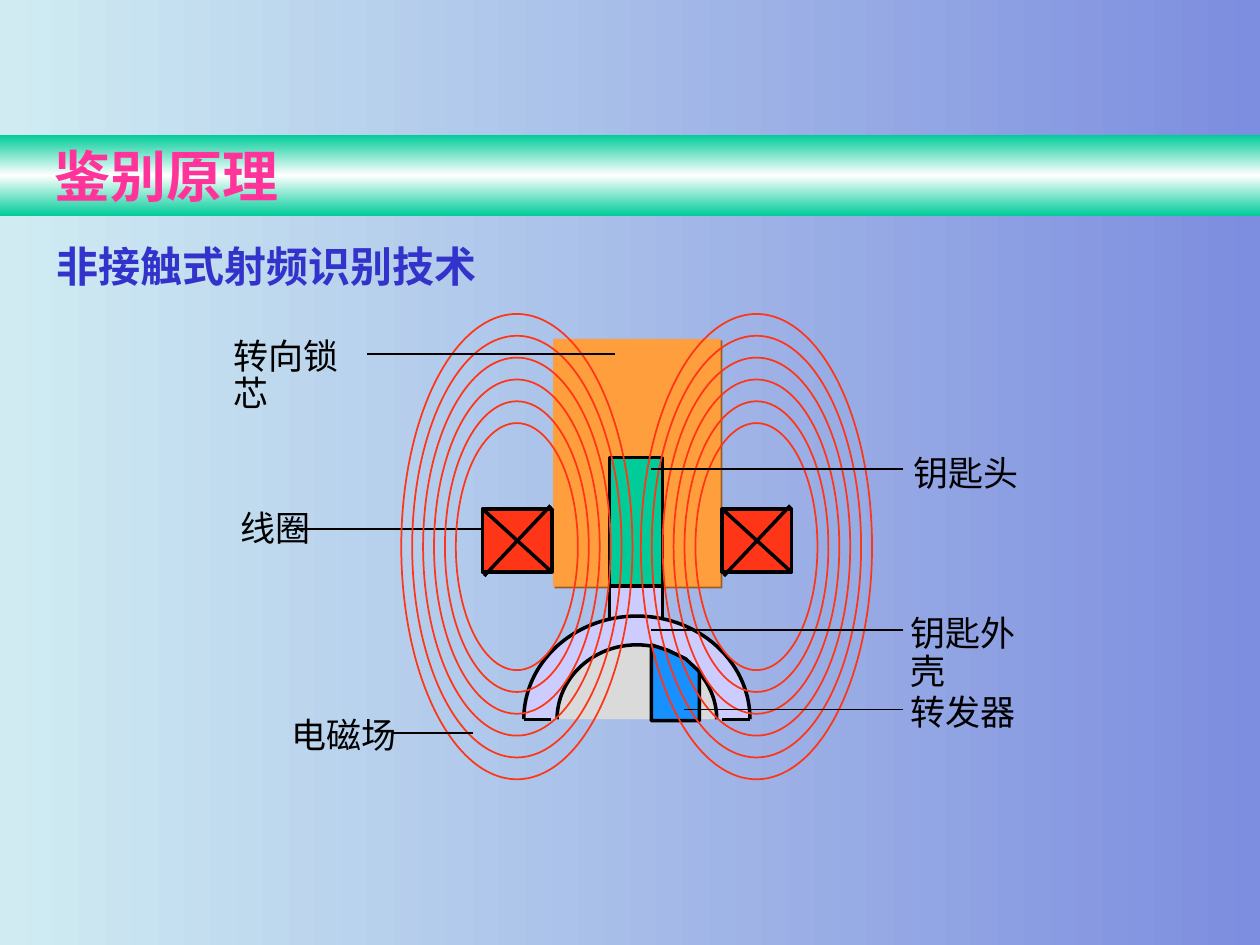
"""Build the slide on key recognition by contactless radio frequency."""
import copy

import lxml.etree
import pptx
import pptx.dml.color
import pptx.enum.shapes
import pptx.enum.text
import pptx.oxml.ns
import pptx.util

Cm = pptx.util.Cm
Pt = pptx.util.Pt
RGB = pptx.dml.color.RGBColor
KIND = pptx.enum.shapes.MSO_SHAPE
TEXT = pptx.enum.text
qn = pptx.oxml.ns.qn

BLACK = RGB(0x00, 0x00, 0x00)
WHITE = RGB(0xFF, 0xFF, 0xFF)
RED = RGB(0xFF, 0x35, 0x17)
ORANGE = RGB(0xFF, 0x9E, 0x3D)
GREEN = RGB(0x00, 0xCC, 0x99)
LILAC = RGB(0xCC, 0xCC, 0xFF)
GREY = RGB(0xDA, 0xDA, 0xDA)
AZURE = RGB(0x17, 0x91, 0xFF)
PINK = RGB(0xFF, 0x33, 0x99)
BLUE = RGB(0x33, 0x33, 0xCC)
SKY = RGB(0x7D, 0x8D, 0xDF)
ICE = RGB(0xD0, 0xEC, 0xF2)
BROWN = "985E24"

LABEL = {"name": "Arial", "size": Pt(20)}
TITLE = {"name": "Times New Roman", "size": Pt(32), "bold": True}
TOPIC = {"name": "Times New Roman", "size": Pt(24), "bold": True}
TIGHT = dict.fromkeys(("margin_left", "margin_top", "margin_right", "margin_bottom"), 0)

PAIR = 4.83
MID = 12.84
BASE = 14.5


def put(thing, form):
    for name, value in form.items():
        setattr(thing, name, value)


def paint(shape, fill=None, line=None, width=2):
    shape.shadow.inherit = False
    if fill is None:
        shape.fill.background()
    else:
        shape.fill.solid()
        shape.fill.fore_color.rgb = fill
    if line is None:
        shape.line.fill.background()
    else:
        shape.line.color.rgb = line
        shape.line.width = Pt(width)


def block(shapes, kind, box, fill=None, line=None, width=2):
    shape = shapes.add_shape(kind, *map(Cm, box))
    paint(shape, fill, line, width)
    return shape


def stroke(shapes, start, end, width=2):
    line = shapes.add_connector(
        pptx.enum.shapes.MSO_CONNECTOR.STRAIGHT, *map(Cm, start + end))
    line.line.color.rgb = BLACK
    line.line.width = Pt(width)
    lxml.etree.SubElement(line._element.spPr, qn("a:effectLst"))


def write(frame, text, font, color, lines=None):
    part = frame.paragraphs[0]
    part.line_spacing = lines
    part.alignment = TEXT.PP_ALIGN.LEFT
    run = part.add_run()
    run.text = text
    put(run.font, font)
    run.font.color.rgb = color


def label(shapes, text, left, top, wide):
    frame = shapes.add_textbox(*map(Cm, (left, top, wide, 0.76))).text_frame
    put(frame, {**TIGHT, "word_wrap": False,
                "auto_size": TEXT.MSO_AUTO_SIZE.SHAPE_TO_FIT_TEXT})
    write(frame, text, LABEL, BLACK, 0.9)


def shade(fill, colors, angle):
    fill.gradient_angle = angle
    stops = list(fill.gradient_stops)
    for i, (stop, color) in enumerate(zip(stops, colors)):
        stop.position = i / (len(stops) - 1)
        stop.color.rgb = color


def lock(shapes):
    shape = block(shapes, KIND.RECTANGLE, (11.15, 6.83, 3.38, 5), ORANGE)
    cast = lxml.etree.SubElement(
        shape._element.spPr.find(qn("a:effectLst")), qn("a:outerShdw"),
        blurRad="0", dist=str(Pt(1.4)), dir="2700000", algn="tl", rotWithShape="0")
    lxml.etree.SubElement(cast, qn("a:srgbClr"), val=BROWN)


def coil(shapes, left):
    block(shapes, KIND.RECTANGLE, (left, 10.26, 1.4, 1.27), RED, BLACK)
    stroke(shapes, (left + 0.03, 10.29), (left + 1.37, 11.51))
    stroke(shapes, (left + 0.03, 11.61), (left + 1.37, 10.19))


def arch(shapes, wide, high, fill):
    shape = block(shapes, KIND.ARC, (MID - wide, BASE - high, 2 * wide, 2 * high), fill, BLACK)
    shape.adjustments[0] = 108
    shape.adjustments[1] = 0


def chip(shapes):
    points = [(14.1, 14.53), (14.1, 13.54), (13.82, 13.28),
              (13.46, 13.11), (13.13, 13), (13.13, 14.53)]
    spots = [(Cm(x), Cm(y)) for x, y in points]
    form = shapes.build_freeform(*spots[0])
    form.add_line_segments(spots[1:], close=True)
    paint(form.convert_to_shape(), AZURE, BLACK)


def field(shapes, mid):
    for i in range(6):
        wide, high = 2.46 + 0.44 * i, 4.98 + 0.88 * i
        box = (mid - wide / 2, 11.02 - high / 2, wide, high)
        block(shapes, KIND.OVAL, box, line=RED, width=1)


def draw(shapes):
    stroke(shapes, (10.03, 10.67), (5.92, 10.67), 1)
    lock(shapes)
    block(shapes, KIND.RECTANGLE, (12.29, 10.11, 1.07, 2.46), LILAC, BLACK)
    block(shapes, KIND.RECTANGLE, (12.29, 9.22, 1.07, 2.59), GREEN, BLACK)
    arch(shapes, 2.28, 2.08, LILAC)
    for left, right in ((10.57, 11.1), (14.55, 15.11)):
        stroke(shapes, (left, BASE), (right, BASE))
    arch(shapes, 1.61, 1.5, GREY)
    chip(shapes)
    for i in range(2):
        coil(shapes, 9.73 + PAIR * i)
        field(shapes, 10.42 + PAIR * i)
    for text, left, top, wide in (
            ("转向锁芯", 4.7, 6.83, 2.82), ("线圈", 4.85, 10.31, 1.42),
            ("电磁场", 5.88, 14.48, 2.12), ("钥匙头", 18.42, 9.19, 2.13),
            ("钥匙外壳", 18.36, 12.42, 2.82), ("转发器", 18.36, 14.02, 2.13)):
        label(shapes, text, left, top, wide)
    for start, end, top in (
            (18.21, 13.13, 9.45), (18.21, 13.13, 12.7), (18.21, 13.79, 14.3),
            (12.4, 7.39, 7.14), (9.53, 7.92, 14.78)):
        stroke(shapes, (start, top), (end, top), 1)


def head(shapes):
    band = block(shapes, KIND.RECTANGLE, (0, 2.72, 25.4, 1.63))
    band.fill.gradient()
    stops = band._element.spPr.find(".//" + qn("a:gsLst"))
    stops.append(copy.deepcopy(stops[0]))
    shade(band.fill, (GREEN, WHITE, GREEN), 90)
    put(band.text_frame, {"margin_left": Cm(1.1), "word_wrap": True,
                          "vertical_anchor": TEXT.MSO_ANCHOR.MIDDLE})
    write(band.text_frame, "鉴别原理", TITLE, PINK)
    frame = shapes.add_textbox(*map(Cm, (0.89, 4.72, 9.6, 1.27))).text_frame
    frame.word_wrap = True
    write(frame, "非接触式射频识别技术", TOPIC, BLUE)


def main():
    deck = pptx.Presentation()
    put(deck, {"slide_width": Cm(25.4), "slide_height": Cm(19.05)})
    slide = deck.slides.add_slide(deck.slide_layouts[6])
    slide.background.fill.gradient()
    shade(slide.background.fill, (SKY, ICE), 180)
    draw(slide.shapes.add_group_shape().shapes)
    head(slide.shapes)
    deck.save("out.pptx")


if __name__ == "__main__":
    main()
